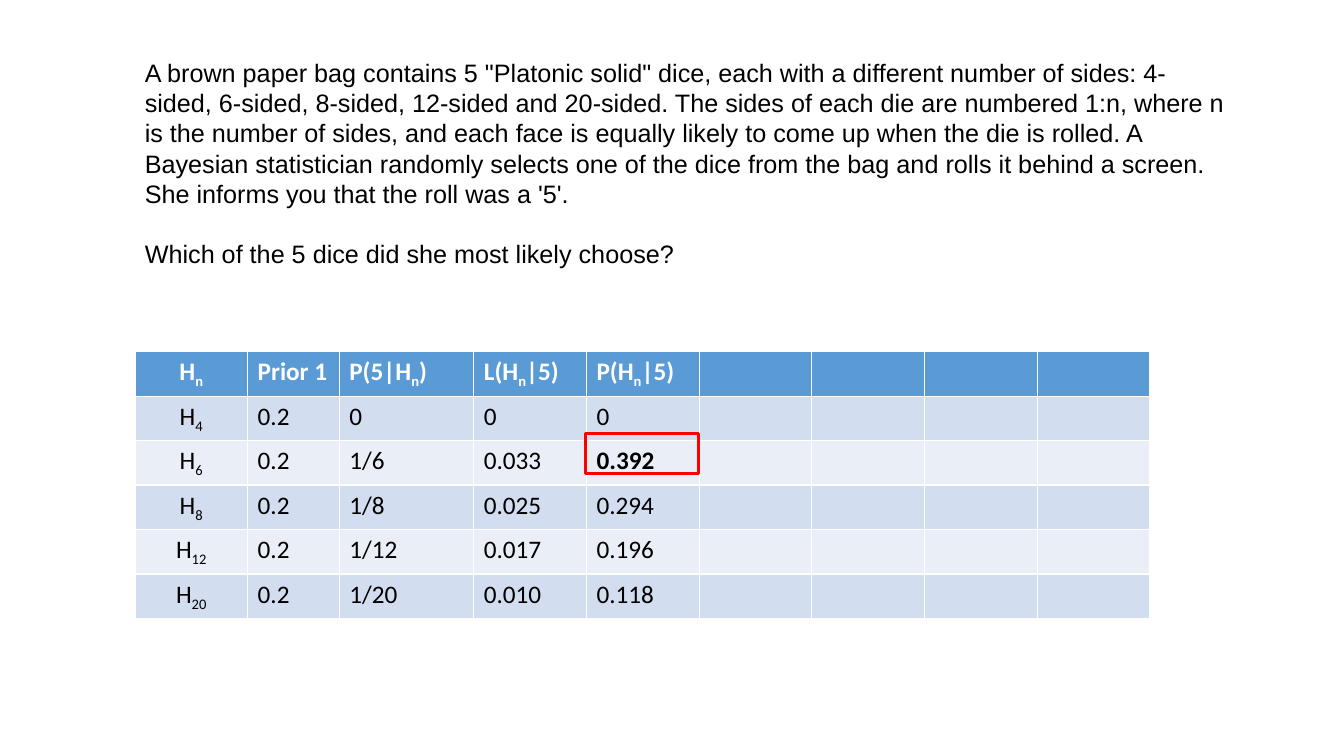
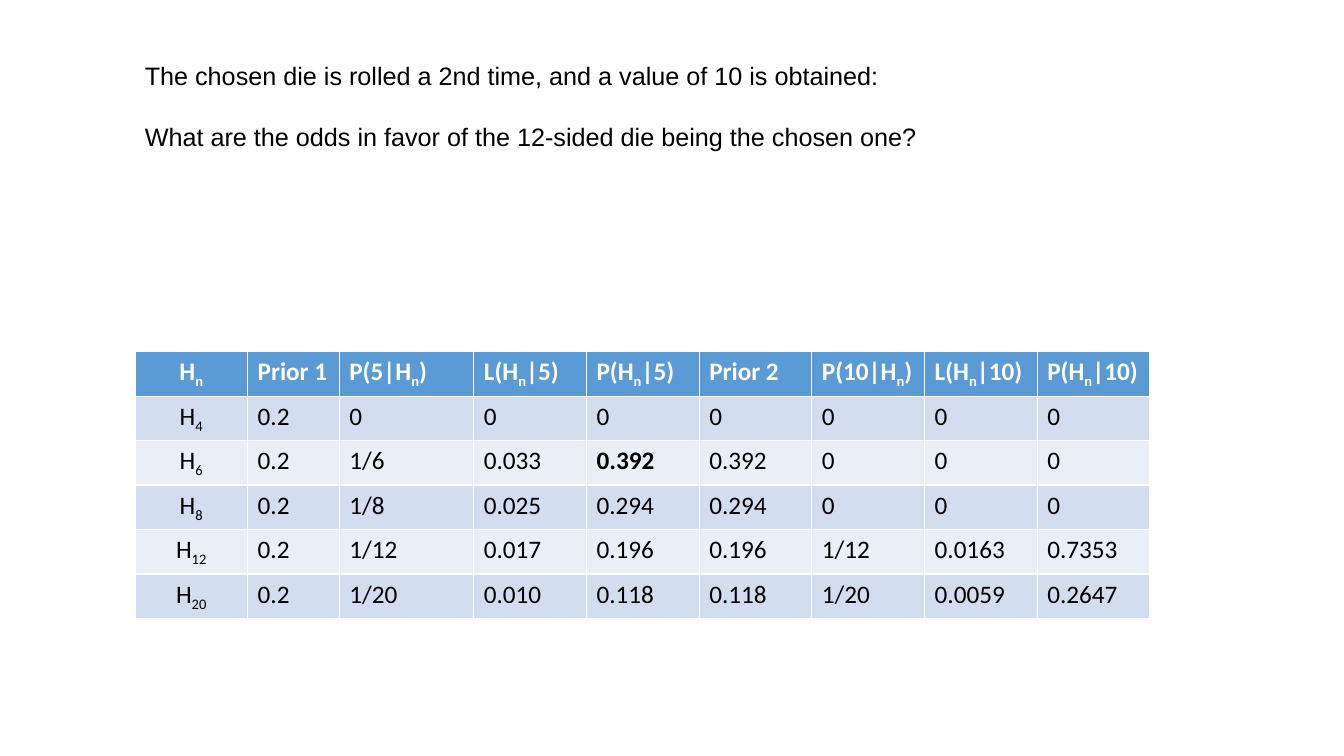
from pptx import Presentation
from pptx.dml.color import RGBColor
from pptx.enum.shapes import MSO_SHAPE
from pptx.enum.text import PP_ALIGN
from pptx.util import Cm, Pt

BLACK = RGBColor(0x00, 0x00, 0x00)
WHITE = RGBColor(0xFF, 0xFF, 0xFF)
RED = RGBColor(0xFF, 0x00, 0x00)
HEADER_BLUE = RGBColor(0x5B, 0x9B, 0xD5)
BAND_DARK = RGBColor(0xD2, 0xDE, 0xEF)
BAND_LIGHT = RGBColor(0xEA, 0xEF, 0xF7)

LEFT = Cm(3.4)
COLUMN_WIDTHS = [2.84, 2.31, 3.39] + [2.84] * 6
ROW_HEIGHT = Cm(1.03)
BOLD_VALUE = (2, 4)  # row and column of the most likely die

# Tildes enclose subscripts
TABLE_ROWS = [
    ["H~n~", "Prior 1", "P(5|H~n~)", "L(H~n~|5)", "P(H~n~|5)",
     "Prior 2", "P(10|H~n~)", "L(H~n~|10)", "P(H~n~|10)"],
    ["H~4~", "0.2", "0", "0", "0", "0", "0", "0", "0"],
    ["H~6~", "0.2", "1/6", "0.033", "0.392", "0.392", "0", "0", "0"],
    ["H~8~", "0.2", "1/8", "0.025", "0.294", "0.294", "0", "0", "0"],
    ["H~12~", "0.2", "1/12", "0.017", "0.196", "0.196", "1/12", "0.0163", "0.7353"],
    ["H~20~", "0.2", "1/20", "0.010", "0.118", "0.118", "1/20", "0.0059", "0.2647"],
]

# Top, width and height of the question, its paragraphs, filled table columns
SLIDES = [
    (1.32, 27.84, 5.64, [
        "A brown paper bag contains 5 \"Platonic solid\" dice, each with a different "
        "number of sides: 4-sided, 6-sided, 8-sided, 12-sided and 20-sided. The sides "
        "of each die are numbered 1:n, where n is the number of sides, and each face "
        "is equally likely to come up when the die is rolled. A Bayesian statistician "
        "randomly selects one of the dice from the bag and rolls it behind a screen. "
        "She informs you that the roll was a '5'.",
        "Which of the 5 dice did she most likely choose?"], 5),
    (1.4, 20.07, 2.57, [
        "The chosen die is rolled a 2nd time, and a value of 10 is obtained:",
        "What are the odds in favor of the 12-sided die being the chosen one?"], 9),
]


def add_span(paragraph, text, font_name, color, bold=False):
    span = paragraph.add_run()
    span.text = text
    span.font.name = font_name
    span.font.size = Pt(18)
    span.font.color.rgb = color
    span.font.bold = bold
    return span


def add_probability_table(page, filled_columns):
    table = page.shapes.add_table(
        len(TABLE_ROWS), len(COLUMN_WIDTHS), LEFT, Cm(8.86),
        Cm(sum(COLUMN_WIDTHS)), ROW_HEIGHT * len(TABLE_ROWS)).table
    for column, width in zip(table.columns, COLUMN_WIDTHS):
        column.width = Cm(width)
    for row_index, values in enumerate(TABLE_ROWS):
        table.rows[row_index].height = ROW_HEIGHT
        is_header = row_index == 0
        band = BAND_DARK if row_index % 2 else BAND_LIGHT
        for column_index, value in enumerate(values):
            cell = table.cell(row_index, column_index)
            cell.fill.solid()
            cell.fill.fore_color.rgb = HEADER_BLUE if is_header else band
            paragraph = cell.text_frame.paragraphs[0]
            paragraph.font.size = Pt(18)
            if column_index == 0:
                paragraph.alignment = PP_ALIGN.CENTER
            if column_index >= filled_columns:
                continue
            bold = is_header or (row_index, column_index) == BOLD_VALUE
            for part_index, part in enumerate(value.split("~")):
                if part:
                    span = add_span(paragraph, part, "Calibri",
                                    WHITE if is_header else BLACK, bold)
                    if part_index % 2:
                        span.font._element.set("baseline", "-25000")


deck = Presentation()
deck.slide_width = Cm(33.87)
deck.slide_height = Cm(19.05)

for top, width, height, question, filled_columns in SLIDES:
    page = deck.slides.add_slide(deck.slide_layouts[6])

    # Question text
    box = page.shapes.add_textbox(LEFT, Cm(top), Cm(width), Cm(height))
    frame = box.text_frame
    frame.word_wrap = True
    for index, text in enumerate(question):
        paragraph = frame.paragraphs[0] if index == 0 else frame.add_paragraph()
        if index:
            paragraph.space_before = Pt(21.6)
        add_span(paragraph, text, "Arial", BLACK)

    # Table of probabilities
    add_probability_table(page, filled_columns)

# Red frame around the answer on the first slide
answer_frame = deck.slides[0].shapes.add_shape(
    MSO_SHAPE.RECTANGLE, Cm(14.76), Cm(10.92), Cm(2.84), Cm(1.02))
answer_frame.shadow.inherit = False
answer_frame.fill.background()
answer_frame.line.color.rgb = RED
answer_frame.line.width = Pt(2.25)

deck.save("out.pptx")
